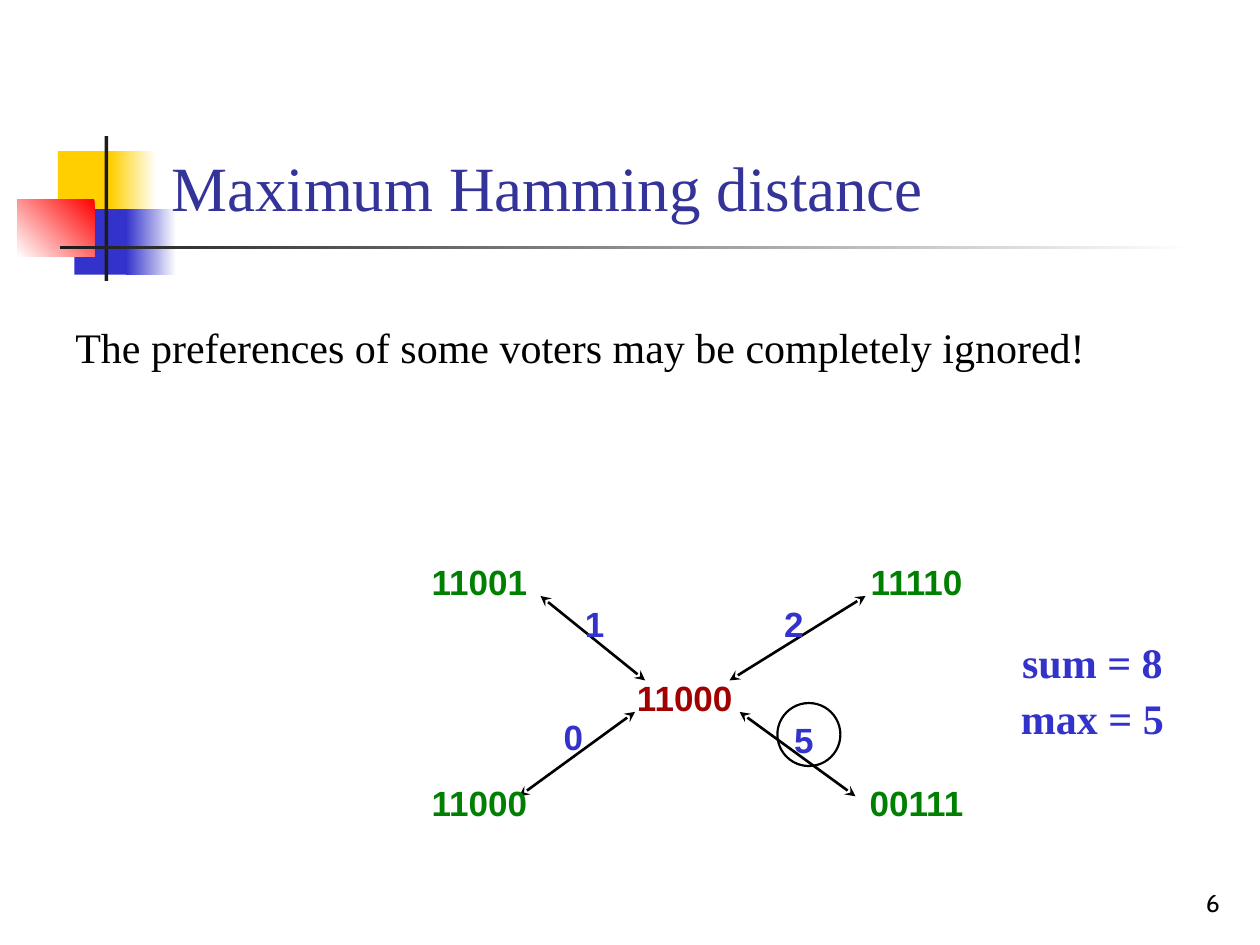
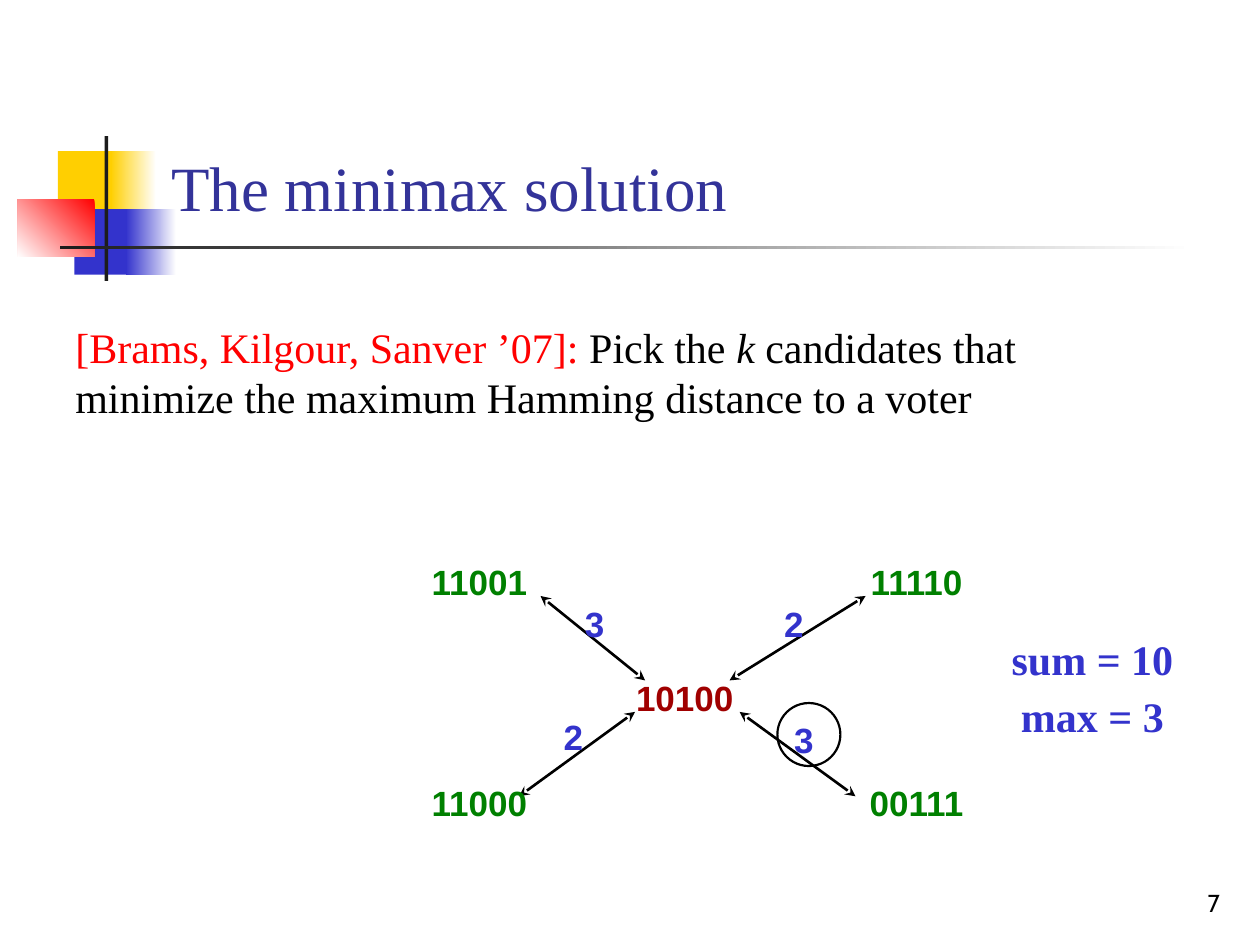
from dataclasses import dataclass
from typing import NamedTuple

from lxml.etree import SubElement
from pptx import Presentation
from pptx.dml.color import RGBColor
from pptx.enum.shapes import MSO_CONNECTOR, MSO_SHAPE
from pptx.enum.text import MSO_ANCHOR, PP_ALIGN
from pptx.oxml.ns import qn
from pptx.slide import Slide
from pptx.text.text import TextFrame
from pptx.util import Inches, Pt


@dataclass(frozen=True)
class Theme:
    black: str = "000000"
    white: str = "FFFFFF"
    yellow: str = "FFCF01"
    blue: str = "3333CC"
    red: str = "FF0000"
    charcoal: str = "1C1C1C"
    title: str = "333399"
    voter: str = "008000"
    committee: str = "A00000"
    serif: str = "Times New Roman"
    sans: str = "Arial"
    number_font: str = "Cabin"
    title_size: int = 36
    body_size: int = 24
    label_size: int = 20
    number_size: int = 14


THEME = Theme()


class Area(NamedTuple):
    left: float
    top: float
    width: float
    height: float


class Style(NamedTuple):
    font: str
    size: int
    color: str
    bold: bool = False
    align: PP_ALIGN = PP_ALIGN.LEFT
    anchor: MSO_ANCHOR = MSO_ANCHOR.TOP


class Span(NamedTuple):
    text: str
    color: str = THEME.black
    italic: bool = False


class Block(NamedTuple):
    """A rectangle filled from start to end, or solid when end is empty."""
    area: Area
    start: str
    end: str = ""
    angle: int = 180


class Arrow(NamedTuple):
    x1: float
    y1: float
    x2: float
    y2: float


class Example(NamedTuple):
    number: int
    title: str
    body: list[Span]
    committee: str
    distances: list[int]
    summary_top: float


TITLE = Style(THEME.serif, THEME.title_size, THEME.title, anchor=MSO_ANCHOR.BOTTOM)
BODY = Style(THEME.serif, THEME.body_size, THEME.black)
VOTER = Style(THEME.sans, THEME.label_size, THEME.voter, True, PP_ALIGN.CENTER)
COMMITTEE = VOTER._replace(color=THEME.committee)
DISTANCE = VOTER._replace(color=THEME.blue)
SUMMARY = Style(THEME.serif, THEME.body_size, THEME.blue, True, PP_ALIGN.CENTER)
NUMBER = Style(THEME.number_font, THEME.number_size, THEME.black,
               align=PP_ALIGN.RIGHT, anchor=MSO_ANCHOR.BOTTOM)

MOTIF = [
    Block(Area(0.46, 1.2, 0.48, 0.52), THEME.yellow),
    Block(Area(0.88, 1.2, 0.36, 0.52), THEME.white, THEME.yellow),
    Block(Area(0.59, 1.66, 0.46, 0.52), THEME.blue),
    Block(Area(1, 1.66, 0.4, 0.52), THEME.white, THEME.blue),
    Block(Area(0.14, 1.58, 0.61, 0.46), THEME.red, THEME.white, 225),
    Block(Area(0.83, 1.08, 0.03, 1.15), THEME.charcoal),
    Block(Area(0.48, 1.95, 9, 0.03), THEME.white, THEME.charcoal),
]

VOTER_COLUMNS = (3.29, 6.76)
VOTER_ROWS = (4.4, 6.15)
VOTERS = (("11001", "11110"), ("11000", "00111"))
ARROWS = [
    Arrow(4.12, 6.32, 5.04, 5.65),
    Arrow(6.79, 6.32, 5.87, 5.65),
    Arrow(4.29, 4.73, 5.12, 5.4),
    Arrow(5.79, 5.4, 6.87, 4.73),
]
# Top left, top right, bottom left, bottom right
DISTANCE_CORNERS = ((4.17, 4.73), (5.75, 4.73), (4, 5.63), (5.83, 5.65))

EXAMPLES = [
    Example(6, "Maximum Hamming distance",
            [Span("The preferences of some voters may be completely ignored!")],
            "11000", [1, 2, 0, 5], 5.14),
    Example(7, "The minimax solution",
            [Span("[Brams, Kilgour, Sanver ’07]:", THEME.red),
             Span(" Pick the "),
             Span("k", italic=True),
             Span(" candidates that minimize the maximum Hamming distance to a voter")],
            "10100", [3, 2, 2, 3], 5.12),
]


def color_of(value: str) -> RGBColor:
    return RGBColor.from_string(value)


def inches(area: Area) -> list[Inches]:
    return [Inches(length) for length in area]


def add_text(page: Slide, area: Area, lines: list[list[Span]], style: Style) -> TextFrame:
    """Write one paragraph per list of spans; spans carry their own colour."""
    frame = page.shapes.add_textbox(*inches(area)).text_frame
    frame.word_wrap = True
    frame.vertical_anchor = style.anchor
    for index, spans in enumerate(lines):
        para = frame.add_paragraph() if index else frame.paragraphs[0]
        para.alignment = style.align
        for span in spans:
            run = para.add_run()
            run.text = span.text
            run.font.name = style.font
            run.font.size = Pt(style.size)
            run.font.bold = style.bold
            run.font.italic = span.italic
            run.font.color.rgb = color_of(span.color)
    return frame


def add_label(page: Slide, area: Area, text: str, style: Style) -> None:
    add_text(page, area, [[Span(text, style.color)]], style)


def add_block(page: Slide, block: Block) -> None:
    shape = page.shapes.add_shape(MSO_SHAPE.RECTANGLE, *inches(block.area))
    shape.shadow.inherit = False
    shape.line.fill.background()
    if block.end:
        shape.fill.gradient()
        shape.fill.gradient_angle = block.angle
        for stop, value in zip(shape.fill.gradient_stops, (block.start, block.end)):
            stop.color.rgb = color_of(value)
    else:
        shape.fill.solid()
        shape.fill.fore_color.rgb = color_of(block.start)


def add_arrow(page: Slide, arrow: Arrow) -> None:
    """Draw a line with a stealth arrowhead at both ends."""
    ends = [Inches(length) for length in arrow]
    connector = page.shapes.add_connector(MSO_CONNECTOR.STRAIGHT, *ends)
    connector.line.color.rgb = color_of(THEME.black)
    connector.line.width = Pt(1.5)
    line = connector.line._get_or_add_ln()
    for tag in ("a:headEnd", "a:tailEnd"):
        SubElement(line, qn(tag), type="stealth")
    SubElement(connector._element.spPr, qn("a:effectLst"))


def add_circle(page: Slide, area: Area) -> None:
    circle = page.shapes.add_shape(MSO_SHAPE.OVAL, *inches(area))
    circle.shadow.inherit = False
    circle.fill.background()
    circle.line.color.rgb = color_of(THEME.black)
    circle.line.width = Pt(1.25)


def add_summary(page: Slide, example: Example) -> None:
    totals = {"sum": sum(example.distances), "max": max(example.distances)}
    lines = [[Span(f"{name} = {total}", SUMMARY.color)] for name, total in totals.items()]
    frame = add_text(page, Area(7.63, example.summary_top, 2.08, 0.79), lines, SUMMARY)
    for para in frame.paragraphs:
        para.line_spacing = 0.6
        para.space_before = Pt(15)


def add_diagram(page: Slide, example: Example) -> None:
    add_label(page, Area(4.92, 5.32, 1.03, 0.44), example.committee, COMMITTEE)
    for arrow in ARROWS:
        add_arrow(page, arrow)
    for (left, top), distance in zip(DISTANCE_CORNERS, example.distances):
        add_label(page, Area(left, top, 1.1, 0.44), str(distance), DISTANCE)
    for top, row in zip(VOTER_ROWS, VOTERS):
        for left, ballot in zip(VOTER_COLUMNS, row):
            add_label(page, Area(left, top, 1.03, 0.44), ballot, VOTER)
    add_circle(page, Area(6.17, 5.58, 0.5, 0.5))


def add_frame(page: Slide, title: str, number: int) -> None:
    """Draw what all slides share: motif, title and slide number."""
    for block in MOTIF:
        add_block(page, block)
    add_label(page, Area(1.26, 0.23, 8.52, 1.6), title, TITLE)
    add_label(page, Area(7.7, 6.83, 2.08, 0.5), str(number), NUMBER)


def main() -> None:
    deck = Presentation()
    deck.slide_width, deck.slide_height = Inches(10), Inches(7.5)
    for example in EXAMPLES:
        page = deck.slides.add_slide(deck.slide_layouts[6])
        add_frame(page, example.title, example.number)
        add_text(page, Area(0.5, 2.5, 8.5, 0.9), [example.body], BODY)
        add_diagram(page, example)
        add_summary(page, example)
    deck.save("out.pptx")


if __name__ == "__main__":
    main()
